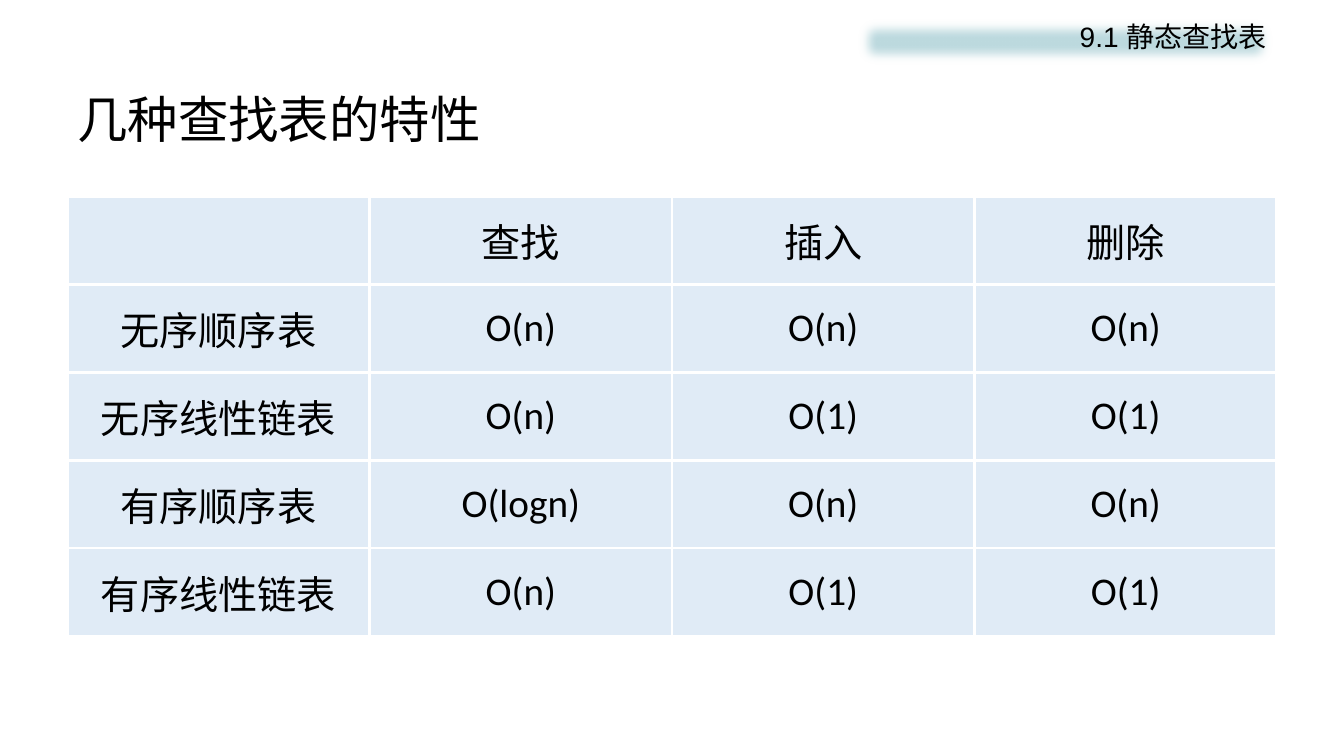
import pptx
import pptx.dml.color
import pptx.enum.shapes
import pptx.enum.text
import pptx.oxml
import pptx.oxml.ns
import pptx.util

ALIGN = pptx.enum.text.PP_ALIGN
ANCHOR = pptx.enum.text.MSO_ANCHOR
HUES = {"ink": "000000", "cell": "E0EBF6", "rule": "FFFFFF", "bar": "BDDADF"}
HAN = "Noto Sans CJK SC"
NS = pptx.oxml.ns.nsdecls("a")


class Deck:
    """Style and current slide, on a grid of 80 columns and 75 rows."""

    def __init__(self):
        self.show = pptx.Presentation()
        self.show.slide_width = pptx.util.Inches(13.33)
        self.show.slide_height = pptx.util.Inches(7.5)
        self.col = self.show.slide_width / 80
        self.row = self.show.slide_height / 75
        self.slide = self.show.slides.add_slide(self.show.slide_layouts[5])

    def box(self, x, y, wide, high):
        return [round(n) for n in (x * self.col, y * self.row,
                                   wide * self.col, high * self.row)]

    def hue(self, name):
        return pptx.dml.color.RGBColor.from_string(HUES[name])

    def paint(self, fill, name):
        fill.solid()
        fill.fore_color.rgb = self.hue(name)

    def label(self, frame, text, align, **style):
        para = frame.paragraphs[0]
        para.alignment = align
        run = para.add_run()
        run.text = text
        for key, value in style.items():
            setattr(run.font, key, value)
        run.font.color.rgb = self.hue("ink")
        # East Asian face follows the Latin one
        run.font._element.append(pptx.oxml.parse_xml(
            f'<a:ea {NS} typeface="{HAN}"/>'))

    def title(self, text, *place):
        head = self.slide.shapes.title
        names = ("left", "top", "width", "height")
        for key, value in zip(names, self.box(*place)):
            setattr(head, key, value)
        head.text_frame.vertical_anchor = ANCHOR.MIDDLE
        self.label(head.text_frame, text, ALIGN.LEFT,
                   name=HAN, size=pptx.util.Pt(36))

    def rules(self, cell):
        props = cell._tc.get_or_add_tcPr()
        width = pptx.util.Pt(2.25)
        for side in "LRTB":
            props.append(pptx.oxml.parse_xml(
                f'<a:ln{side} {NS} w="{width}"><a:solidFill>'
                f'<a:srgbClr val="{HUES["rule"]}"/></a:solidFill></a:ln{side}>'))

    def table(self, rows, *place):
        grid = self.slide.shapes.add_table(
            len(rows), len(rows[0]), *self.box(*place)).table
        for r, line in enumerate(rows):
            for c, text in enumerate(line):
                cell = grid.cell(r, c)
                self.rules(cell)
                self.paint(cell.fill, "cell")
                cell.vertical_anchor = ANCHOR.MIDDLE
                if text:
                    self.label(cell.text_frame, text, ALIGN.CENTER,
                               name="Calibri", size=pptx.util.Pt(28))

    def banner(self, text, *place):
        bar = self.slide.shapes.add_shape(
            pptx.enum.shapes.MSO_SHAPE.RECTANGLE, *self.box(*place))
        self.paint(bar.fill, "bar")
        bar.line.fill.background()
        # Soft edge, with no shadow
        bar.shadow.inherit = False
        glow = bar._element.spPr.find(pptx.oxml.ns.qn("a:effectLst"))
        glow.append(pptx.oxml.parse_xml(f'<a:softEdge {NS} rad="112500"/>'))
        bar.text_frame.word_wrap = True
        bar.text_frame.vertical_anchor = ANCHOR.TOP
        self.label(bar.text_frame, text, ALIGN.RIGHT,
                   name="Arial", size=pptx.util.Pt(20))


def main():
    deck = Deck()
    # Heading
    deck.title("几种查找表的特性", 4, 8, 72, 7.5)
    # Cost of each operation
    deck.table([
        ("", "查找", "插入", "删除"),
        ("无序顺序表", "O(n)", "O(n)", "O(n)"),
        ("无序线性链表", "O(n)", "O(1)", "O(1)"),
        ("有序顺序表", "O(logn)", "O(n)", "O(n)"),
        ("有序线性链表", "O(n)", "O(1)", "O(1)"),
    ], 4, 19.5, 72, 43.6)
    # Section label
    deck.banner("9.1 静态查找表", 50.8, 1.4, 25.2, 5.4)
    deck.show.save("out.pptx")


if __name__ == "__main__":
    main()
